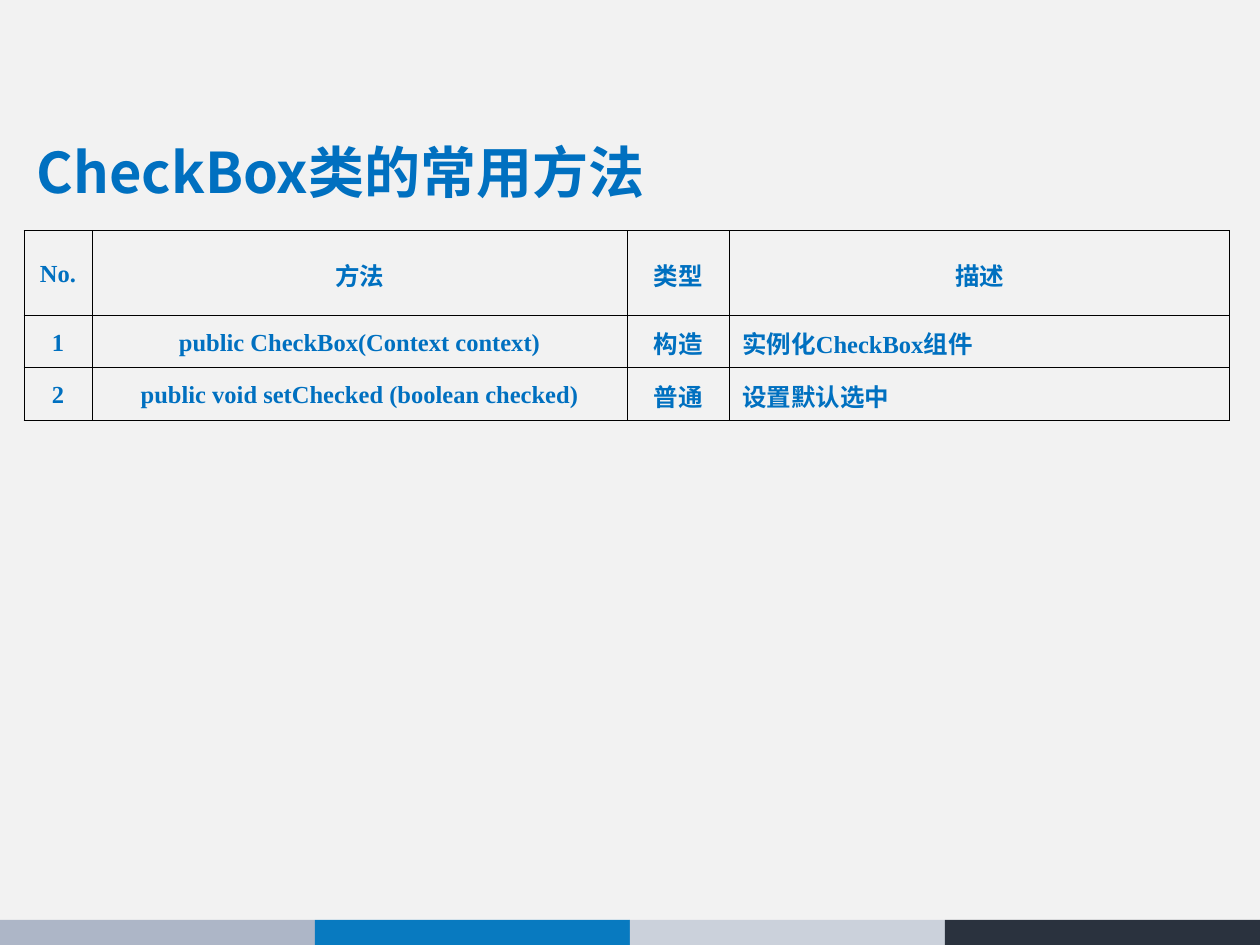
from lxml import etree
from pptx import Presentation
from pptx import util as u
from pptx.dml.color import RGBColor
from pptx.enum import shapes, text
from pptx.oxml import ns

PALE = RGBColor(0xF2, 0xF2, 0xF2)
BLUE = RGBColor(0x00, 0x70, 0xC0)
BANDS = [
    RGBColor(0xAD, 0xB6, 0xC7),
    RGBColor(0x08, 0x7A, 0xC0),
    RGBColor(0xCB, 0xD1, 0xDB),
    RGBColor(0x2A, 0x32, 0x3E),
]
SANS = "Noto Sans CJK SC"
SERIF = "Times New Roman"
HANG = u.Inches(0.44)
COLS = [0.54, 4.25, 0.81, 3.97]
ROWS = [0.67, 0.42, 0.42]
CELLS = [
    ["No.", "方法", "类型", "描述"],
    ["1", "public CheckBox(Context context)", "构造", "实例化CheckBox组件"],
    ["2", "public void setChecked (boolean checked)", "普通", "设置默认选中"],
]


class Deck:
    def __init__(self, wide, high):
        self.file = Presentation()
        self.file.slide_width = u.Inches(wide)
        self.file.slide_height = u.Inches(high)
        self.slide = self.file.slides.add_slide(self.file.slide_layouts[5])
        fill = self.slide.background.fill
        fill.solid()
        fill.fore_color.rgb = PALE

    def style(self, para, size, face, align, lead):
        para.alignment = align
        para.line_spacing = lead
        for run in para.runs:
            font = run.font
            font.size, font.bold, font.name = u.Pt(size), True, face
            font.color.rgb = BLUE
            east = etree.SubElement(font._element, ns.qn("a:ea"))
            east.set("typeface", SANS)

    def title(self, words, left, top, wide, high):
        shape = self.slide.shapes.title
        shape.left, shape.top = u.Inches(left), u.Inches(top)
        shape.width, shape.height = u.Inches(wide), u.Inches(high)
        frame = shape.text_frame
        frame.text = words
        frame.word_wrap = True
        frame.auto_size = text.MSO_AUTO_SIZE.NONE
        frame.vertical_anchor = text.MSO_ANCHOR.MIDDLE
        self.style(frame.paragraphs[0], 32, SANS, text.PP_ALIGN.LEFT, 0.9)

    def band(self, left, top, wide, high, color):
        shape = self.slide.shapes.add_shape(
            shapes.MSO_SHAPE.RECTANGLE,
            u.Inches(left), u.Inches(top), u.Inches(wide), u.Inches(high))
        shape.shadow.inherit = False
        shape.fill.solid()
        shape.fill.fore_color.rgb = color
        shape.line.fill.background()

    def edge(self, cell):
        """Draw a thin black border on all four sides of the cell."""
        props = cell._tc.get_or_add_tcPr()
        for side in ("lnL", "lnR", "lnT", "lnB"):
            line = etree.SubElement(props, ns.qn("a:" + side))
            line.set("w", str(u.Pt(0.45)))
            fill = etree.SubElement(line, ns.qn("a:solidFill"))
            etree.SubElement(fill, ns.qn("a:srgbClr")).set("val", "000000")

    def cell(self, cell, words, align):
        cell.text = words
        cell.vertical_anchor = text.MSO_ANCHOR.MIDDLE
        self.edge(cell)
        cell.fill.background()
        para = cell.text_frame.paragraphs[0]
        self.style(para, 14, SERIF, align, 1.1)
        para.space_before = u.Pt(12)
        props = para._p.get_or_add_pPr()
        props.set("marL", str(HANG))
        props.set("indent", str(-HANG))

    def table(self, left, top, cols, rows, cells):
        table = self.slide.shapes.add_table(
            len(rows), len(cols), u.Inches(left), u.Inches(top),
            u.Inches(sum(cols)), u.Inches(sum(rows))).table
        table.first_row = table.horz_banding = False
        for col, wide in zip(table.columns, cols):
            col.width = u.Inches(wide)
        for row, high in zip(table.rows, rows):
            row.height = u.Inches(high)
        for r, line in enumerate(cells):
            for c, words in enumerate(line):
                prose = r > 0 and c == len(cols) - 1
                align = text.PP_ALIGN.JUSTIFY if prose else text.PP_ALIGN.CENTER
                self.cell(table.cell(r, c), words, align)


def main():
    deck = Deck(10, 7.5)
    for i, color in enumerate(BANDS):
        deck.band(2.5 * i, 7.3, 2.5, 0.2, color)
    deck.title("CheckBox类的常用方法", 0.19, 0.96, 9.57, 0.86)
    deck.table(0.19, 1.83, COLS, ROWS, CELLS)
    deck.file.save("out.pptx")


if __name__ == "__main__":
    main()
